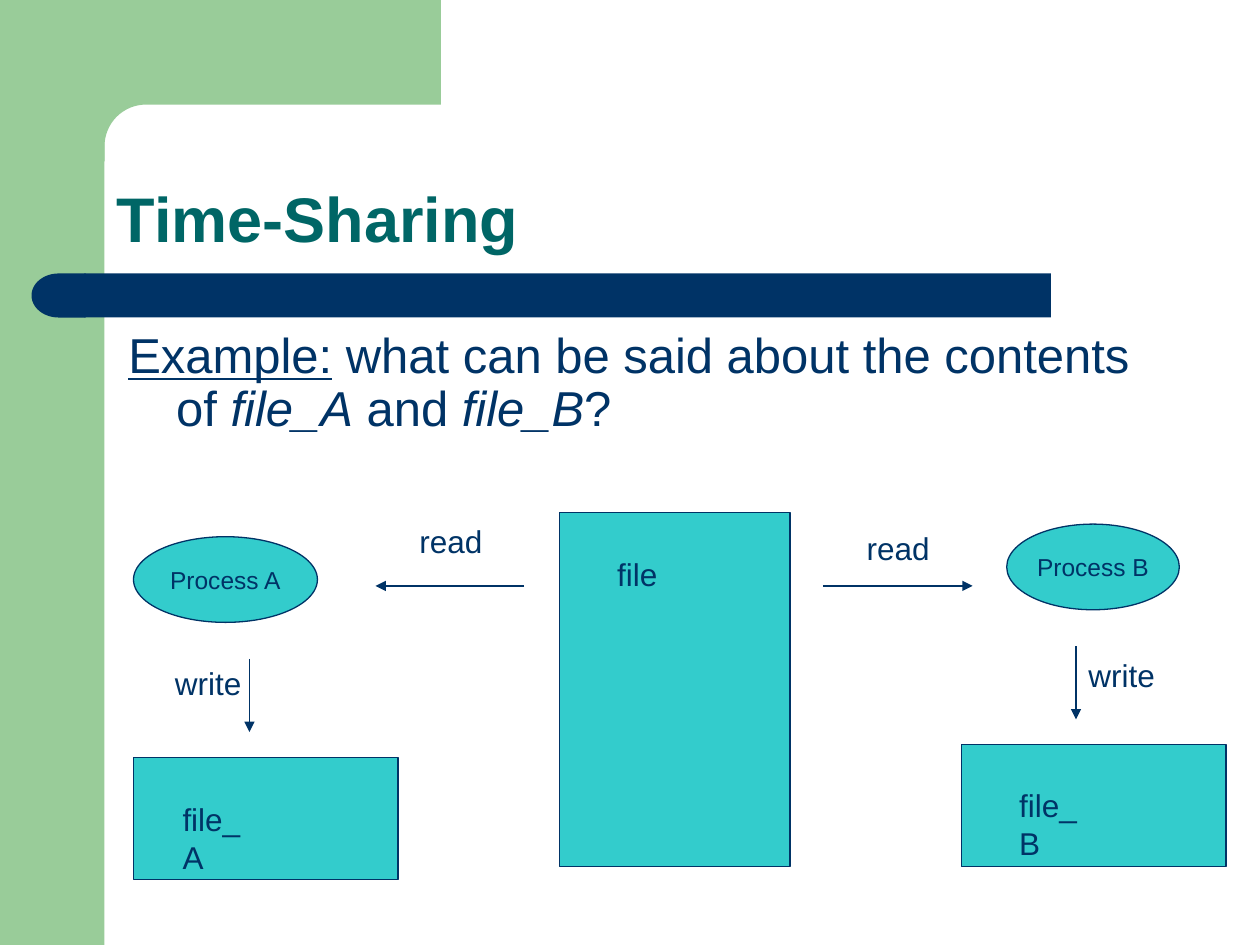
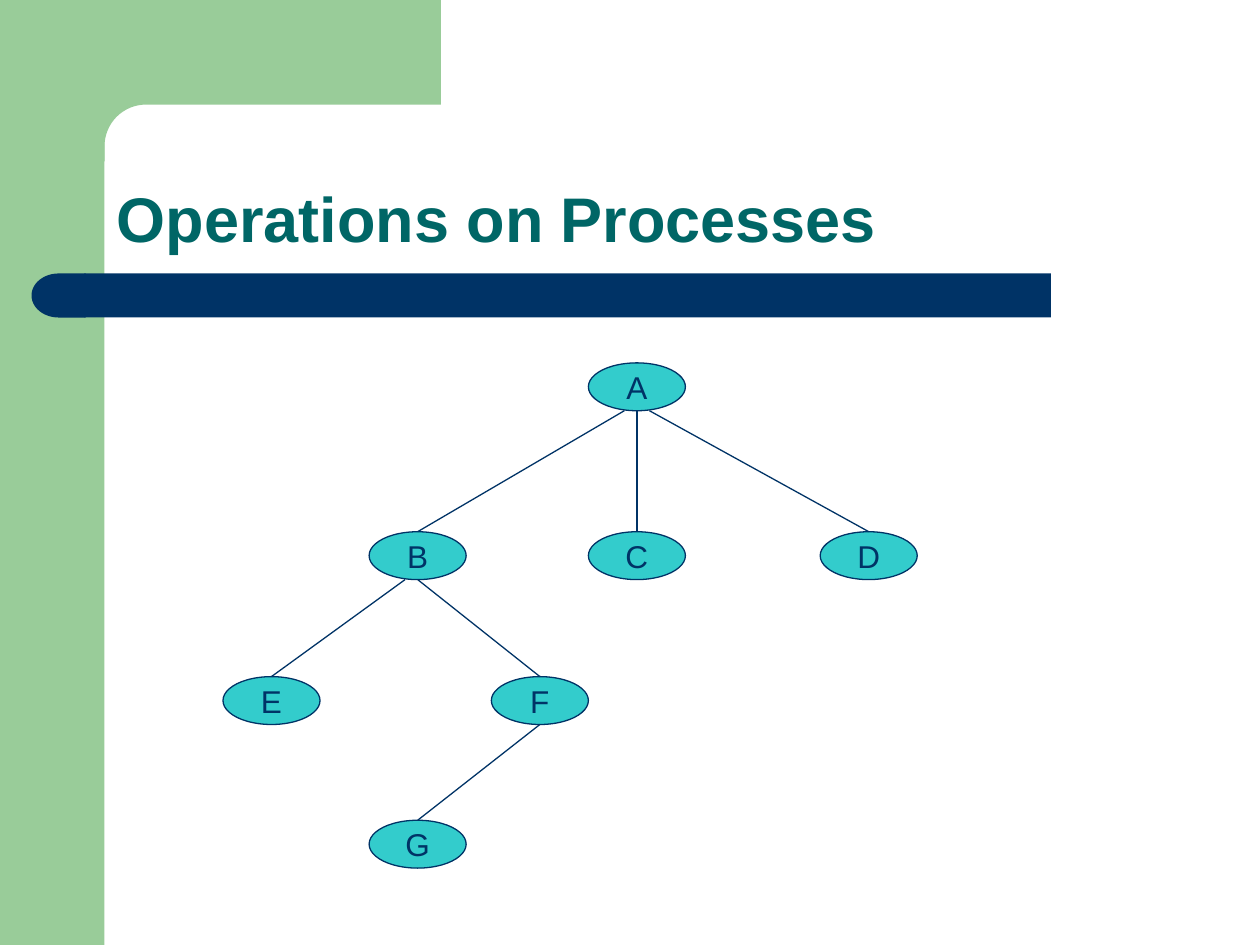
from math import cos, pi, sin

from pptx import Presentation
from pptx.dml.color import RGBColor
from pptx.enum.shapes import MSO_CONNECTOR, MSO_SHAPE
from pptx.enum.text import MSO_ANCHOR, MSO_AUTO_SIZE, PP_ALIGN
from pptx.oxml.ns import qn
from pptx.util import Inches, Pt

RECTANGLE, ELLIPSE, DELAY = MSO_SHAPE.RECTANGLE, MSO_SHAPE.OVAL, MSO_SHAPE.FLOWCHART_DELAY
STRAIGHT = MSO_CONNECTOR.STRAIGHT
MIDDLE, BOTTOM = MSO_ANCHOR.MIDDLE, MSO_ANCHOR.BOTTOM
CENTER = PP_ALIGN.CENTER
GROW = MSO_AUTO_SIZE.SHAPE_TO_FIT_TEXT

FONT = "Arial"
COLORS = {"green": "99CC99", "navy": "003366", "title": "006666", "turquoise": "33CCCC"}


def color(name):
    return RGBColor.from_string(COLORS[name])


def add_run(paragraph, text, size, tint="navy", bold=None, italic=None, underline=None):
    run = paragraph.add_run()
    run.text = text
    font = run.font
    font.name, font.size = FONT, Pt(size)
    font.color.rgb = color(tint)
    font.bold, font.italic, font.underline = bold, italic, underline


def paint(shape, fill, line=None):
    shape.shadow.inherit = False
    shape.fill.solid()
    shape.fill.fore_color.rgb = color(fill)
    if line:
        shape.line.color.rgb = color(line)
        shape.line.width = Pt(0.75)
    else:
        shape.line.fill.background()


def add_block(slide, kind, box, fill="turquoise", line="navy"):
    shape = slide.shapes.add_shape(kind, *map(Inches, box))
    paint(shape, fill, line)
    return shape


def add_node(slide, box, text, size):
    frame = add_block(slide, ELLIPSE, box).text_frame
    frame.word_wrap = False
    frame.vertical_anchor = MIDDLE
    paragraph = frame.paragraphs[0]
    paragraph.alignment = CENTER
    add_run(paragraph, text, size)


def add_text_box(slide, box, wrap=True):
    frame = slide.shapes.add_textbox(*map(Inches, box)).text_frame
    frame.word_wrap = wrap
    return frame


def add_label(slide, left, top, width, text):
    frame = add_text_box(slide, (left, top, width, 0.4), wrap=False)
    frame.auto_size = GROW
    add_run(frame.paragraphs[0], text, 18)


def add_line(slide, start, end, arrow=False):
    connector = slide.shapes.add_connector(STRAIGHT, *map(Inches, (*start, *end)))
    connector.line.color.rgb = color("navy")
    connector.line.width = Pt(0.75)
    properties = connector._element.spPr
    if arrow:
        tail = properties.find(qn("a:ln")).makeelement(qn("a:tailEnd"), {"type": "triangle"})
        properties.find(qn("a:ln")).append(tail)
    properties.append(properties.makeelement(qn("a:effectLst"), {}))


def add_corner(slide, left, top):
    radius, steps = 0.33, 16
    arc = []
    for step in range(steps + 1):
        angle = pi / 2 * step / steps
        arc.append((0.66 - radius * sin(angle), 1.16 - radius * cos(angle)))
    outline = [(3, 0.83), *arc, (0.33, 1.28), (0, 1.28), (0, 0)]
    points = [(Inches(left + x), Inches(top + y)) for x, y in outline]
    builder = slide.shapes.build_freeform(Inches(left + 3), Inches(top))
    builder.add_line_segments(points, close=True)
    paint(builder.convert_to_shape(), "green")


def add_title_bar(slide, left, top):
    add_block(slide, RECTANGLE, (left + 0.42, top, 7.67, 0.35), "navy", None)
    cap = add_block(slide, DELAY, (left, top, 0.43, 0.35), "navy", None)
    cap.rotation = 180


def add_titled_slide(presentation, title):
    slide = presentation.slides.add_slide(presentation.slide_layouts[6])
    add_block(slide, RECTANGLE, (0, 0, 0.83, 7.5), "green", None)
    add_corner(slide, 0.5, 0)
    add_title_bar(slide, 0.25, 2.17)
    frame = add_text_box(slide, (0.83, 0.83, 8.67, 1.25))
    frame.vertical_anchor = BOTTOM
    paragraph = frame.paragraphs[0]
    paragraph.line_spacing = 0.9
    add_run(paragraph, title, 36, "title", bold=True)
    return slide


def add_question(slide, box):
    paragraph = add_text_box(slide, box).paragraphs[0]
    paragraph.line_spacing = 0.9
    paragraph.space_before = Pt(7)
    indent = paragraph._p.get_or_add_pPr()
    indent.set("marL", str(Inches(0.38)))
    indent.set("indent", str(Inches(-0.38)))
    add_run(paragraph, "Example:", 28, underline=True)
    add_run(paragraph, " what can be said about the contents of ", 28)
    add_run(paragraph, "file_A", 28, italic=True)
    add_run(paragraph, " and ", 28)
    add_run(paragraph, "file_B", 28, italic=True)
    add_run(paragraph, "?", 28)


def add_process_branch(slide, left, top, name, width, read_arrow, read_label,
                       write_x, write_label, file_x, file_label):
    add_node(slide, (left, top, width, 0.68), f"Process {name}", 14)
    start_x, end_x, read_y = read_arrow
    add_line(slide, (left + start_x, top + read_y), (left + end_x, top + read_y), arrow=True)
    add_line(slide, (left + write_x, top + 0.97), (left + write_x, top + 1.55), arrow=True)
    add_block(slide, RECTANGLE, (left + file_x, top + 1.75, 2.1, 0.97))
    labels = [("read", 0.7, read_label), ("write", 0.73, write_label),
              (f"file_{name}", 0.82, file_label)]
    for text, label_width, (x, y) in labels:
        add_label(slide, left + x, top + y, label_width, text)


def add_file_sharing(slide, left, top):
    add_block(slide, RECTANGLE, (left + 3.38, top, 1.83, 2.81))
    add_label(slide, left + 3.74, top + 0.29, 0.52, "file")
    add_process_branch(slide, left, top + 0.19, "A", 1.46,
                       read_arrow=(3.1, 1.92, 0.39), read_label=(2.17, -0.17),
                       write_x=0.92, write_label=(0.23, 0.96),
                       file_x=0, file_label=(0.29, 2.04))
    add_process_branch(slide, left + 6.93, top + 0.09, "B", 1.37,
                       read_arrow=(-1.46, -0.27, 0.49), read_label=(-1.21, -0.01),
                       write_x=0.55, write_label=(0.55, 1),
                       file_x=-0.36, file_label=(0, 2.03))


def add_process_tree(slide, left, top):
    width, height = 0.77, 0.38
    levels = [0, 1.34, 2.49, 3.63]
    nodes = {"A": (2.9, 0), "B": (1.16, 1), "C": (2.9, 1), "D": (4.74, 1),
             "E": (0, 2), "F": (2.13, 2), "G": (1.16, 3)}
    edges = [("A", "B", -0.1), ("A", "C", 0), ("A", "D", 0.1),
             ("B", "E", -0.1), ("B", "F", 0), ("F", "G", 0)]
    corners = {name: (left + x, top + levels[level]) for name, (x, level) in nodes.items()}
    for name, corner in corners.items():
        add_node(slide, (*corner, width, height), name, 18)
    for parent, child, shift in edges:
        parent_x, parent_y = corners[parent]
        child_x, child_y = corners[child]
        add_line(slide, (parent_x + width / 2 + shift, parent_y + height),
                 (child_x + width / 2, child_y))


def main():
    presentation = Presentation()
    presentation.slide_width, presentation.slide_height = Inches(10), Inches(7.5)
    sharing = add_titled_slide(presentation, "Time-Sharing")
    add_question(sharing, (0.92, 2.58, 8.41, 1.01))
    add_file_sharing(sharing, 1.06, 4.07)
    operations = add_titled_slide(presentation, "Operations on Processes")
    add_process_tree(operations, 1.77, 2.88)
    presentation.save("out.pptx")


if __name__ == "__main__":
    main()
